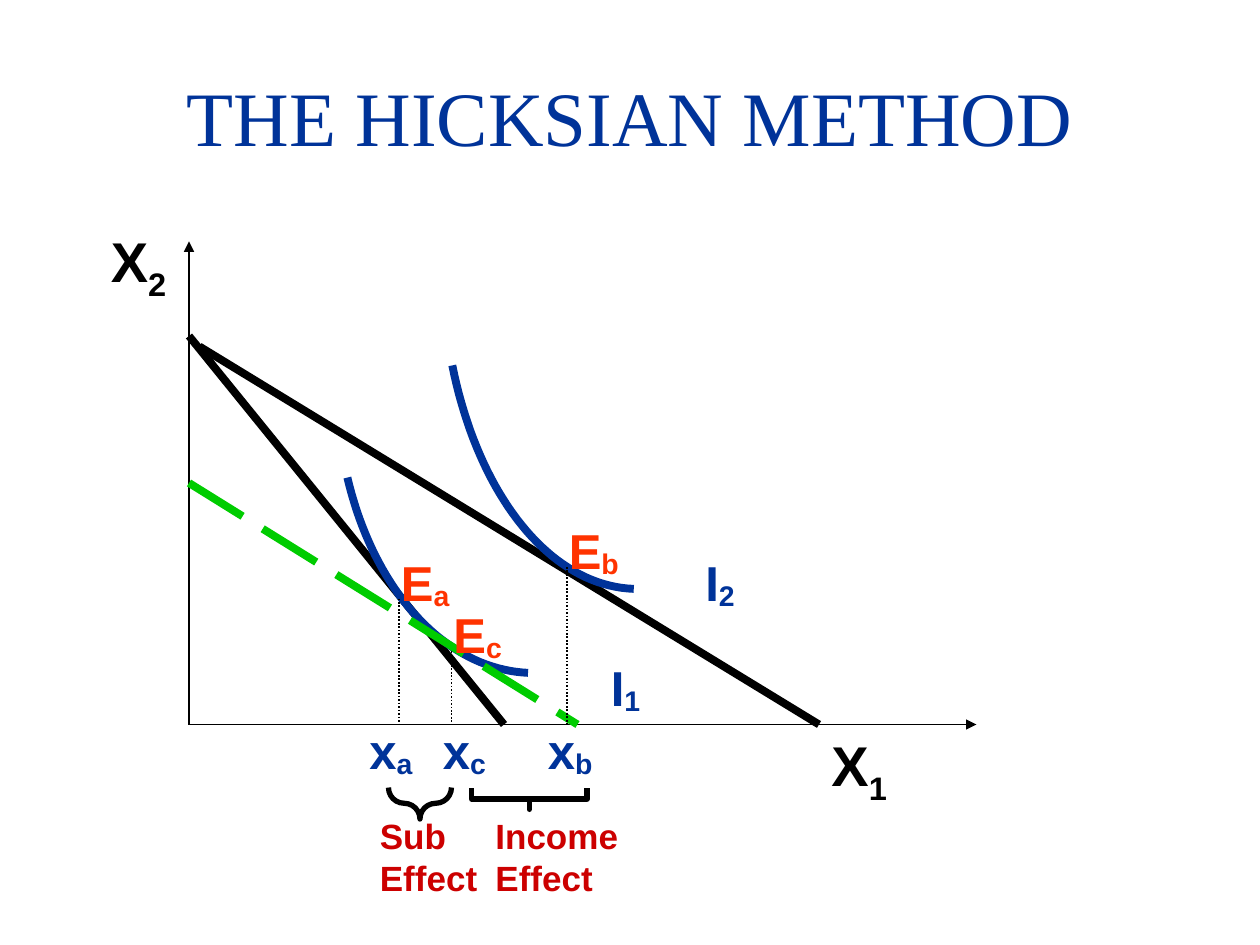
"""Build a slide on the Hicksian method of splitting a price effect."""
import pptx
import pptx.util
import pptx.dml.color
import pptx.enum.dml
import pptx.enum.shapes
import pptx.enum.text
import pptx.oxml.ns
import lxml.etree

Pt = pptx.util.Pt
Dash = pptx.enum.dml.MSO_LINE
Align = pptx.enum.text.PP_ALIGN
qn = pptx.oxml.ns.qn
HUES = {"ink": "000000", "blue": "003399", "green": "00CC00",
        "orange": "FF3300", "red": "CC0000"}
hues = {name: pptx.dml.color.RGBColor.from_string(code) for name, code in HUES.items()}

deck = pptx.Presentation()
deck.slide_width, deck.slide_height = Pt(720), Pt(540)
slide = deck.slides.add_slide(deck.slide_layouts[5])
shapes = slide.shapes


def draw_line(start, end, hue, width, dash=None, arrow=False):
    line = shapes.add_connector(pptx.enum.shapes.MSO_CONNECTOR.STRAIGHT,
                                *[Pt(n) for n in start + end])
    line.line.color.rgb = hues[hue]
    line.line.width = Pt(width)
    if dash:
        line.line.dash_style = dash
    if arrow:
        tail = lxml.etree.SubElement(line.line._get_or_add_ln(), qn("a:tailEnd"))
        tail.set("type", "triangle")
    lxml.etree.SubElement(line._element.spPr, qn("a:effectLst"))


def add_run(para, text, size, hue, font="Arial", bold=True, base=0):
    run = para.add_run()
    run.text = text
    run.font.name, run.font.size, run.font.bold = font, Pt(size), bold
    run.font.color.rgb = hues[hue]
    if base:
        run._r.get_or_add_rPr().set("baseline", str(base * 1000))


title = shapes.title
title.left, title.top, title.width, title.height = Pt(54), Pt(18), Pt(612), Pt(96)
title.text_frame.vertical_anchor = pptx.enum.text.MSO_ANCHOR.MIDDLE
head = title.text_frame.paragraphs[0]
head.alignment = Align.CENTER
add_run(head, "THE HICKSIAN METHOD", 44, "blue", "Times New Roman", False)

left, base = 108, 414
for end in [(left, 138), (558, base)]:
    draw_line((left, base), end, "ink", 1, arrow=True)
for start, foot in [((left, 192), 288), ((114, 198), 468)]:
    draw_line(start, (foot, base), "ink", 4.5)

curves = [
    [(301.7, 384.5), (254.2, 382.3), (213.8, 337.7), (198.5, 272.9)],
    [(362.2, 336.5), (314.6, 334.8), (273.6, 283.7), (258.5, 208.8)],
]
steps = 40
for knots in curves:
    spots = []
    for step in range(steps + 1):
        t = step / steps
        parts = [(1 - t) ** 3, 3 * t * (1 - t) ** 2, 3 * t ** 2 * (1 - t), t ** 3]
        spots.append([Pt(sum(w * knot[axis] for w, knot in zip(parts, knots)))
                      for axis in (0, 1)])
    path = shapes.build_freeform(*spots[0])
    path.add_line_segments(spots[1:], close=False)
    curve = path.convert_to_shape()
    curve.fill.background()
    curve.line.color.rgb = hues["blue"]
    curve.line.width = Pt(4.5)
    curve.shadow.inherit = False

draw_line((left, 276), (330, base), "green", 4.5, Dash.LONG_DASH)
for x, top in [(228, 342), (258, 372), (324, 324)]:
    draw_line((x, top), (x, base), "ink", 1, Dash.ROUND_DOT)

for x, y, width, height, bend in [(296.5, 423.5, 12, 66, 0), (231, 441, 18, 36, 0.5)]:
    brace = shapes.add_shape(pptx.enum.shapes.MSO_SHAPE.LEFT_BRACE,
                             Pt(x), Pt(y), Pt(width), Pt(height))
    brace.adjustments[0], brace.adjustments[1] = bend, 0.5
    brace.rotation = 270
    brace.fill.background()
    brace.line.color.rgb = hues["ink"]
    brace.line.width = Pt(3)
    brace.shadow.inherit = False

labels = [
    ("X", "2", 42, 126, 60, 32, "ink", -25),
    ("X", "1", 468, 414, 48, 32, "ink", -25),
    ("I", "1", 342, 372, 42, 28, "blue", -10),
    ("I", "2", 396, 312, 42, 28, "blue", -10),
    ("x", "a", 204, 408, 44, 28, "blue", -10),
    ("x", "c", 246, 408, 48, 28, "blue", -10),
    ("x", "b", 306, 408, 54, 28, "blue", -10),
    ("Sub", "Effect", 210, 462, 96, 20, "red", 0),
    ("Income", "Effect", 276, 462, 96, 20, "red", 0),
    ("E", "a", 222, 312, 66, 28, "orange", -10),
    ("E", "b", 318, 294, 66, 28, "orange", -10),
    ("E", "c", 252, 342, 54, 28, "orange", -10),
]
tall = {32: 45, 28: 41, 20: 55}
for main, sub, x, y, width, size, hue, drop in labels:
    box = shapes.add_textbox(Pt(x), Pt(y), Pt(width), Pt(tall[size]))
    frame = box.text_frame
    frame.word_wrap = True
    frame.auto_size = pptx.enum.text.MSO_AUTO_SIZE.SHAPE_TO_FIT_TEXT
    para = frame.paragraphs[0]
    if (main, sub) == ("X", "2"):
        para.alignment = Align.RIGHT
    if (main, sub) == ("Sub", "Effect"):
        add_run(para, "Sub Effect", size, hue)
        continue
    add_run(para, main, size, hue)
    if not drop:
        para.add_line_break()
    add_run(para, sub, size, hue, base=drop)

deck.save("out.pptx")
